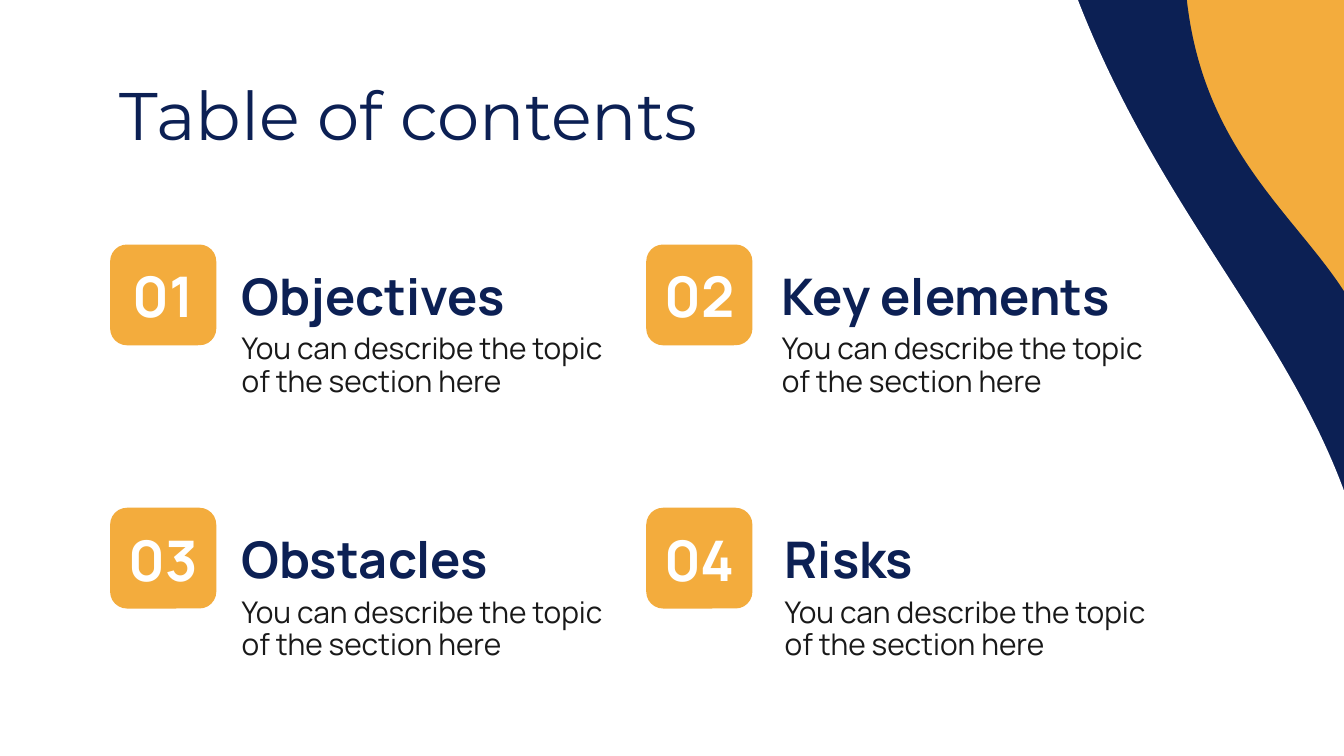
from pptx import Presentation
from pptx.dml.color import RGBColor
from pptx.enum.shapes import MSO_SHAPE as SHAPE
from pptx.enum.text import MSO_ANCHOR as ANCHOR, MSO_AUTO_SIZE as AUTO, PP_ALIGN as ALIGN
from pptx.util import Pt

COLORS = {"navy": "0C2054", "orange": "F3AC3D", "white": "FFFFFF", "ink": "191919"}
FORMATS = {
    "title": {"name": "Montserrat", "size": Pt(36), "bold": False},
    "heading": {"name": "Manrope", "size": Pt(27), "bold": True},
    "number": {"name": "Manrope", "size": Pt(30), "bold": True},
    "detail": {"name": "Manrope", "size": Pt(16), "bold": False},
}
DETAIL = "You can describe the topic of the section here"
SECTIONS = [
    ("Objectives", 122.4),
    ("Key elements", 411.8),
    ("Obstacles", 122.4),
    ("Risks", 413.3),
]


class Deck:
    def __init__(self, prs):
        self.s = prs.slides.add_slide(prs.slide_layouts[5])

    def color(self, name):
        return RGBColor.from_string(COLORS[name])

    def background(self, color):
        fill = self.s.background.fill
        fill.solid()
        fill.fore_color.rgb = self.color(color)

    def shape(self, kind, box, color):
        sp = self.s.shapes.add_shape(kind, *map(Pt, box))
        sp.shadow.inherit = False
        sp.fill.solid()
        sp.fill.fore_color.rgb = self.color(color)
        sp.line.fill.background()
        return sp

    def wave(self, box, rotation, color):
        sp = self.shape(SHAPE.FLOWCHART_DOCUMENT, box, color)
        sp.rotation = rotation
        self.s.slide_layout.shapes._spTree.append(sp._element)

    def card(self, box):
        self.shape(SHAPE.ROUNDED_RECTANGLE, box, "orange").adjustments[0] = 0.167

    def fill_text(self, sp, text, style, color, align=ALIGN.LEFT, spacing=1.0):
        tf = sp.text_frame
        frame = {"word_wrap": True, "auto_size": AUTO.NONE, "vertical_anchor": ANCHOR.MIDDLE}
        for side in ("left", "right", "top", "bottom"):
            frame[f"margin_{side}"] = Pt(7.2)
        for key, value in frame.items():
            setattr(tf, key, value)
        p = tf.paragraphs[0]
        p.alignment = align
        p.line_spacing = spacing
        r = p.add_run()
        r.text = text
        for key, value in FORMATS[style].items():
            setattr(r.font, key, value)
        r.font.color.rgb = self.color(color)

    def title(self, text, box):
        sp = self.s.shapes.title
        sp.left, sp.top, sp.width, sp.height = map(Pt, box)
        self.fill_text(sp, text, "title", "navy")

    def text(self, text, box, style, color, **layout):
        sp = self.s.shapes.add_textbox(*map(Pt, box))
        self.fill_text(sp, text, style, color, **layout)


def main():
    prs = Presentation()
    prs.slide_width, prs.slide_height = Pt(720), Pt(405)
    deck = Deck(prs)
    deck.background("orange")
    deck.wave((335.5, -98.6, 313.9, 499), 267, "navy")
    deck.wave((-40.3, -197.3, 729.4, 822.2), 264.8, "white")
    deck.title("Table of contents", (56.9, 41.8, 607, 38.2))

    for i, (heading, x) in enumerate(SECTIONS):
        row, col = divmod(i, 2)
        left, top = 59 + 287.2 * col, 131 + 141 * row
        deck.card((left, top, 56.9, 54))
        deck.text(f"{i + 1:02}", (left - 1, top + 6.4, 59, 41.8), "number", "white",
                  align=ALIGN.CENTER)
        deck.text(heading, (x, top + 6.4, 211.7, 41.8), "heading", "navy")
        deck.text(DETAIL, (x, top + 46.2, 211.7, 38.2), "detail", "ink", spacing=0.9)

    prs.save("out.pptx")


if __name__ == "__main__":
    main()
